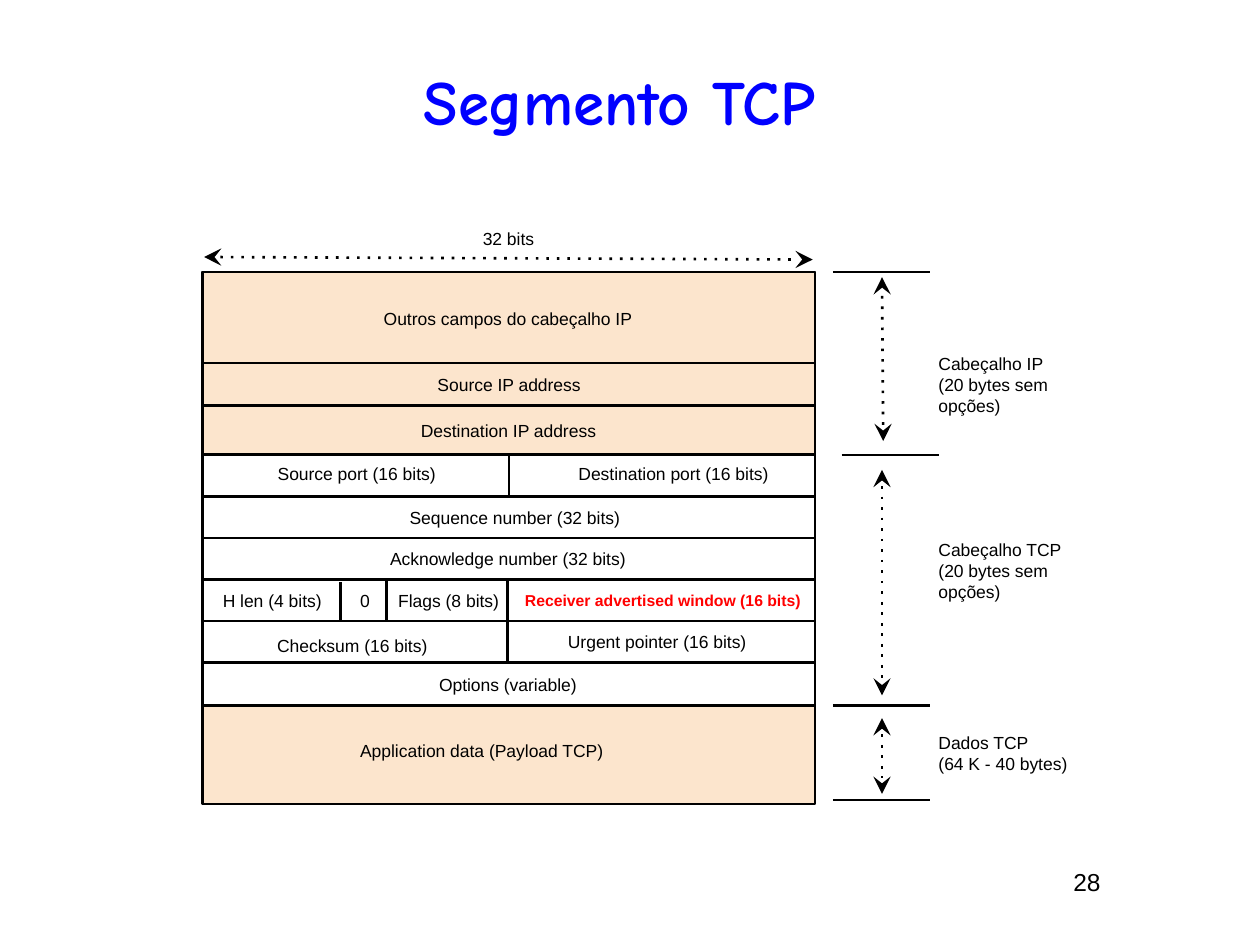
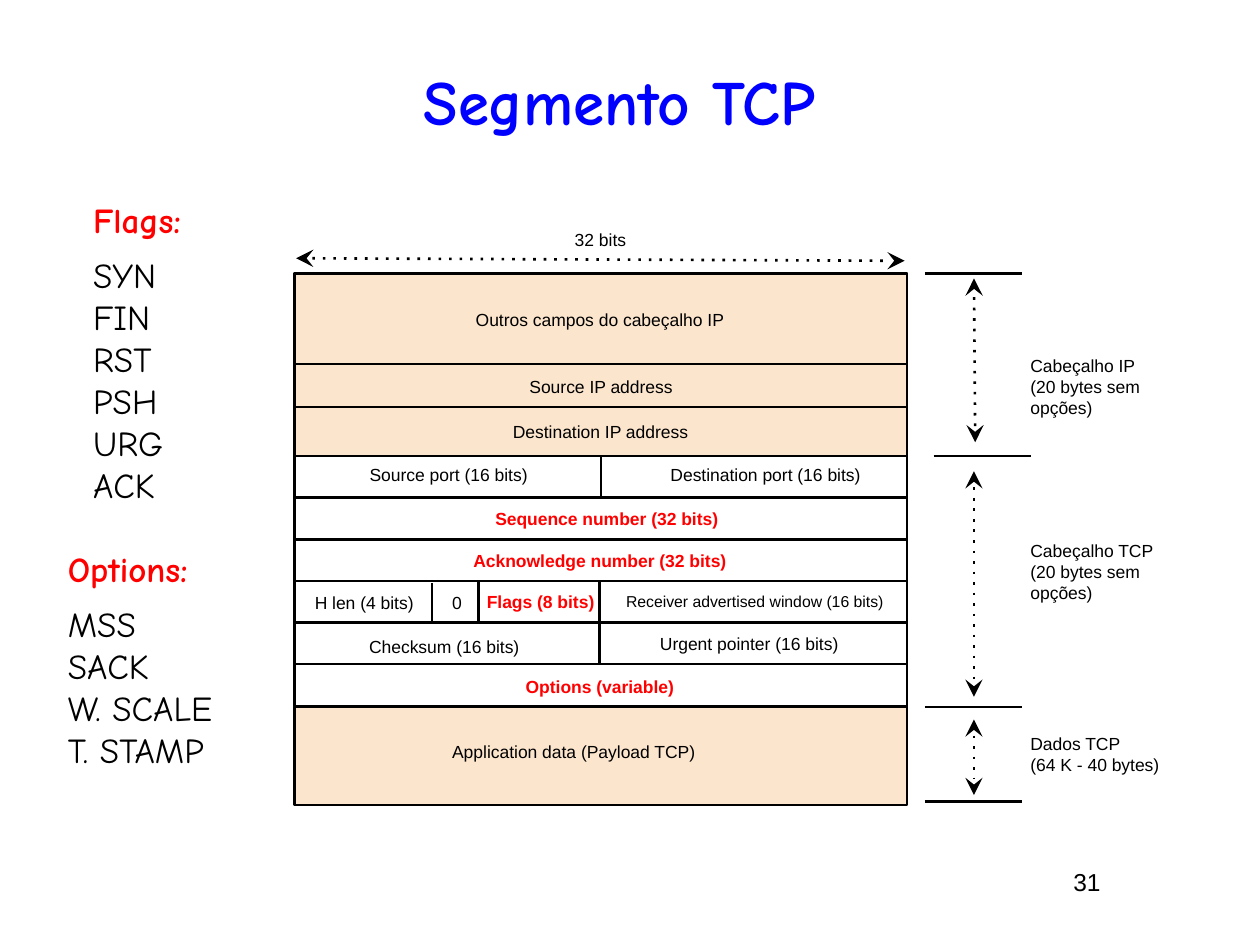
import pptx
import pptx.dml.color
import pptx.enum.shapes
import pptx.enum.text
import pptx.oxml.ns
import pptx.util
from lxml import etree

Inches = pptx.util.Inches
ALIGN = {"l": pptx.enum.text.PP_ALIGN.LEFT, "c": pptx.enum.text.PP_ALIGN.CENTER}
TOP, MIDDLE = pptx.enum.text.MSO_ANCHOR.TOP, pptx.enum.text.MSO_ANCHOR.MIDDLE

BLACK, RED, BLUE, PEACH = "000000", "FF0000", "0000FF", "FCE5CD"
BODY = {"name": "Arial", "size": 10, "bold": False, "color": BLACK}
SMALL = {**BODY, "size": 9}
NUMBER = {**BODY, "size": 14}
LIST = {**BODY, "name": "Comic Neue", "size": 20}
LIST_HEAD = {**LIST, "bold": True, "color": RED}
TITLE = {**LIST_HEAD, "size": 36, "color": BLUE}

# Each slide: page number, shift of the diagram, highlighted fields, side lists
SLIDES = [
    {"number": "28", "shift": (0, 0),
     "highlights": ["Receiver advertised window (16 bits)"], "lists": []},
    {"number": "31", "shift": (0.73, 0.01),
     "highlights": ["Flags (8 bits)", "Sequence number (32 bits)",
                    "Acknowledge number (32 bits)", "Options (variable)"],
     "lists": [
         (0.64, 1.53, "Flags:", ["SYN", "FIN", "RST", "PSH", "URG", "ACK"]),
         (0.44, 4.3, "Options:", ["MSS", "SACK", "W. SCALE", "T. STAMP"])]},
]

# Segment geometry
LEFT, RIGHT, IP_TOP, TCP_TOP, DATA_TOP, BOTTOM = 1.61, 6.47, 2.16, 3.61, 5.6, 6.38
ROW = 0.33
ROW_LINES = [2.88, 3.22] + [TCP_TOP + ROW * i for i in range(6)]
DIVIDERS = [(4.04, 3.62, 3.93), (4.03, 4.61, 5.27), (3.07, 4.61, 4.92), (2.7, 4.62, 4.93)]

# Field name, then left, top, width, height of its text
FIELDS = [
    ("32 bits", 3.59, 1.73, 0.89, 0.33),
    ("Outros campos do cabeçalho IP", 2.51, 2.27, 3.04, 0.51),
    ("Source IP address", 2.52, 2.89, 3.04, 0.33),
    ("Destination IP address", 2.91, 3.25, 2.25, 0.33),
    ("Source port (16 bits)", 2.04, 3.6, 1.58, 0.31),
    ("Destination port (16 bits)", 4.41, 3.6, 1.87, 0.31),
    ("Sequence number (32 bits)", 3.07, 3.94, 2.03, 0.33),
    ("Acknowledge number (32 bits)", 2.86, 4.27, 2.34, 0.33),
    ("H len (4 bits)", 1.62, 4.64, 1.08, 0.26),
    ("0", 2.76, 4.64, 0.26, 0.26),
    ("Flags (8 bits)", 3.02, 4.61, 1.08, 0.31),
    ("Receiver advertised window (16 bits)", 4.02, 4.61, 2.48, 0.31),
    ("Checksum (16 bits)", 1.97, 4.96, 1.65, 0.33),
    ("Urgent pointer (16 bits)", 4.36, 4.93, 1.71, 0.33),
    ("Options (variable)", 3.24, 5.27, 1.58, 0.33),
    ("Application data (Payload TCP)", 2.76, 5.79, 2.34, 0.33),
]
SMALL_FIELDS = ["Receiver advertised window (16 bits)"]
LEFT_FIELDS = ["Application data (Payload TCP)"]

# Parts beside the segment: text lines, top and width of the text
PARTS = [
    (["Cabeçalho IP", "(20 bytes sem", "opções)"], 2.8, 1.53),
    (["Cabeçalho TCP", "(20 bytes sem", "opções)"], 4.27, 1.53),
    (["Dados TCP", "(64 K - 40 bytes)"], 5.72, 1.37),
]
BRACKETS = [(6.61, 2.16), (6.68, 3.61), (6.61, 5.6), (6.61, 6.35)]
BRACKET_WIDTH = 0.77
SPANS = [(1.62, 2.04, 6.45, 2.06), (7.01, 3.5, 7, 2.2), (7, 3.73, 7, 5.52), (7, 5.7, 7, 6.3)]


def rgb(value):
    return pptx.dml.color.RGBColor.from_string(value)


def add_text(s, lines, x, y, w, h, style, align="l", anchor=MIDDLE, inset=0.1):
    tf = s.shapes.add_textbox(Inches(x), Inches(y), Inches(w), Inches(h)).text_frame
    frame = {"word_wrap": True, "vertical_anchor": anchor,
             "margin_left": Inches(0.1), "margin_right": Inches(0.1),
             "margin_top": Inches(inset), "margin_bottom": Inches(inset)}
    for name, value in frame.items():
        setattr(tf, name, value)
    for i, line in enumerate(lines):
        p = tf.add_paragraph() if i else tf.paragraphs[0]
        p.alignment = ALIGN[align]
        r = p.add_run()
        r.text = line
        font = {"name": style["name"], "size": pptx.util.Pt(style["size"]), "bold": style["bold"]}
        for name, value in font.items():
            setattr(r.font, name, value)
        r.font.color.rgb = rgb(style["color"])


def style_line(line):
    line.color.rgb = rgb(BLACK)
    line.width = pptx.util.Pt(1.5)


def add_box(s, x, y, w, h, fill=None):
    sp = s.shapes.add_shape(pptx.enum.shapes.MSO_SHAPE.RECTANGLE,
                            Inches(x), Inches(y), Inches(w), Inches(h))
    sp.shadow.inherit = False
    if fill:
        sp.fill.solid()
        sp.fill.fore_color.rgb = rgb(fill)
    else:
        sp.fill.background()
    style_line(sp.line)


def add_line(s, x1, y1, x2, y2, span=False):
    """Draw a plain line, or a dotted one with two arrowheads for a span."""
    c = s.shapes.add_connector(pptx.enum.shapes.MSO_CONNECTOR.STRAIGHT,
                               Inches(x1), Inches(y1), Inches(x2), Inches(y2))
    style_line(c.line)
    qn = pptx.oxml.ns.qn
    props = c._element.spPr
    etree.SubElement(props, qn("a:effectLst"))
    if span:
        ln = props.find(qn("a:ln"))
        etree.SubElement(ln, qn("a:prstDash"), val="dot")
        for end in ("a:headEnd", "a:tailEnd"):
            etree.SubElement(ln, qn(end), type="stealth", w="lg", len="lg")


def add_segment(s, dx, dy, highlights):
    width = RIGHT - LEFT
    for top, bottom, fill in [(IP_TOP, DATA_TOP, None), (IP_TOP, TCP_TOP, PEACH),
                              (DATA_TOP, BOTTOM, PEACH)]:
        add_box(s, LEFT + dx, top + dy, width, bottom - top, fill)
    lines = [(LEFT, y, RIGHT + 0.01, y) for y in ROW_LINES]
    lines += [(x, top, x, bottom) for x, top, bottom in DIVIDERS]
    lines += [(x, y, x + BRACKET_WIDTH, y) for x, y in BRACKETS]
    for group, span in ((lines, False), (SPANS, True)):
        for x1, y1, x2, y2 in group:
            add_line(s, x1 + dx, y1 + dy, x2 + dx, y2 + dy, span)
    for name, x, y, w, h in FIELDS:
        style = SMALL if name in SMALL_FIELDS else BODY
        if name in highlights:
            style = {**style, "bold": True, "color": RED}
        align = "l" if name in LEFT_FIELDS else "c"
        add_text(s, [name], x + dx, y + dy, w, h, style, align)
    for part, y, w in PARTS:
        add_text(s, part, 7.35 + dx, y + dy, w, 0.51, BODY)


def main():
    prs = pptx.Presentation()
    prs.slide_width, prs.slide_height = Inches(10), Inches(7.5)
    for slide in SLIDES:
        s = prs.slides.add_slide(prs.slide_layouts[6])
        add_text(s, ["Segmento TCP"], 0.33, 0.42, 9.17, 0.75, TITLE, "c", inset=0.05)
        add_text(s, [slide["number"]], 8.42, 6.83, 1, 0.42, NUMBER, anchor=TOP, inset=0.05)
        add_segment(s, *slide["shift"], slide["highlights"])
        for x, y, head, items in slide["lists"]:
            add_text(s, [head], x, y, 1.5, 0.44, LIST_HEAD, anchor=TOP, inset=0.05)
            add_text(s, items, x, y + 0.43, 1.58, 2.1, LIST, anchor=TOP, inset=0.05)
    prs.save("out.pptx")


if __name__ == "__main__":
    main()
